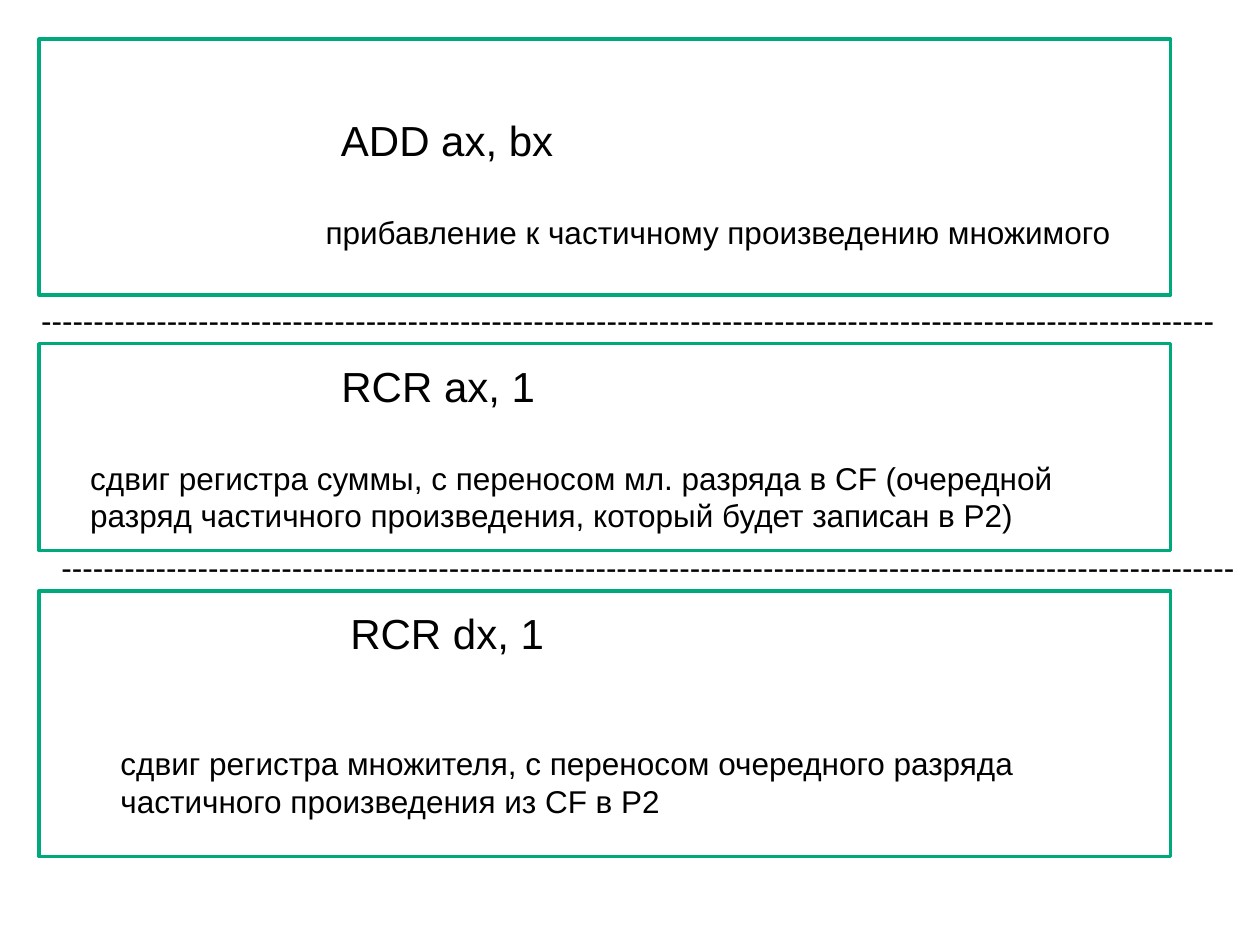
import dataclasses

import pptx
import pptx.dml.color
import pptx.enum.shapes
import pptx.enum.text
import pptx.util
from pptx.util import Cm

ALIGN = pptx.enum.text.PP_ALIGN


@dataclasses.dataclass(frozen=True)
class Theme:
    """Hold the colours, font and sizes of the slide."""
    font: str = "Arial"
    text: str = "000000"
    frame: str = "00A97C"
    command_size: int = 24
    body_size: int = 18
    frame_width: int = 2


THEME = Theme()


def color(value):
    """Turn a hex string into a colour."""
    return pptx.dml.color.RGBColor.from_string(value)


def add_text(slide, text, left, top, width, height, *, size=THEME.body_size, align=ALIGN.LEFT):
    """Add a wrapped text box with one paragraph."""
    box = slide.shapes.add_textbox(Cm(left), Cm(top), Cm(width), Cm(height))
    frame = box.text_frame
    frame.word_wrap = True
    frame.auto_size = pptx.enum.text.MSO_AUTO_SIZE.SHAPE_TO_FIT_TEXT
    paragraph = frame.paragraphs[0]
    paragraph.alignment = align
    run = paragraph.add_run()
    run.text = text
    run.font.name = THEME.font
    run.font.size = pptx.util.Pt(size)
    run.font.color.rgb = color(THEME.text)


def add_command(slide, text, left, top):
    """Add a centred assembler command."""
    add_text(slide, text, left, top, 8.53, 1.27, size=THEME.command_size, align=ALIGN.CENTER)


def add_divider(slide, left, top):
    """Add a row of dashes between two steps."""
    add_text(slide, "-" * 112, left, top, 24.41, 1.02)


def add_frame(slide, top, height):
    """Add the outlined rectangle around one step."""
    shape = slide.shapes.add_shape(
        pptx.enum.shapes.MSO_SHAPE.RECTANGLE, Cm(0.79), Cm(top), Cm(22.81), Cm(height))
    shape.shadow.inherit = False
    shape.fill.background()
    shape.line.color.rgb = color(THEME.frame)
    shape.line.width = pptx.util.Pt(THEME.frame_width)


def main():
    """Build the slide and save it."""
    presentation = pptx.Presentation()
    presentation.slide_width, presentation.slide_height = Cm(25.4), Cm(19.05)
    slide = presentation.slides.add_slide(presentation.slide_layouts[6])

    add_command(slide, "RCR ax, 1", 4.57, 7.14)
    add_command(slide, "RCR dx, 1", 4.75, 12.12)
    add_command(slide, "ADD ax, bx", 4.75, 2.18)

    add_text(slide, "прибавление к частичному произведению множимого",
             4.75, 4.17, 19.46, 1.02, align=ALIGN.CENTER)
    add_text(slide, "сдвиг регистра суммы, с переносом мл. разряда в CF (очередной "
             "разряд частичного произведения, который будет записан в Р2)",
             1.57, 9.12, 20.24, 1.8)
    add_text(slide, "сдвиг регистра множителя, с переносом очередного разряда "
             "частичного произведения из CF в Р2",
             2.18, 14.88, 20.24, 1.8)

    add_divider(slide, 0.58, 5.94)
    add_divider(slide, 0.99, 10.92)

    for top, height in ((0.79, 5.16), (6.93, 4.17), (11.91, 5.36)):
        add_frame(slide, top, height)

    presentation.save("out.pptx")


if __name__ == "__main__":
    main()
